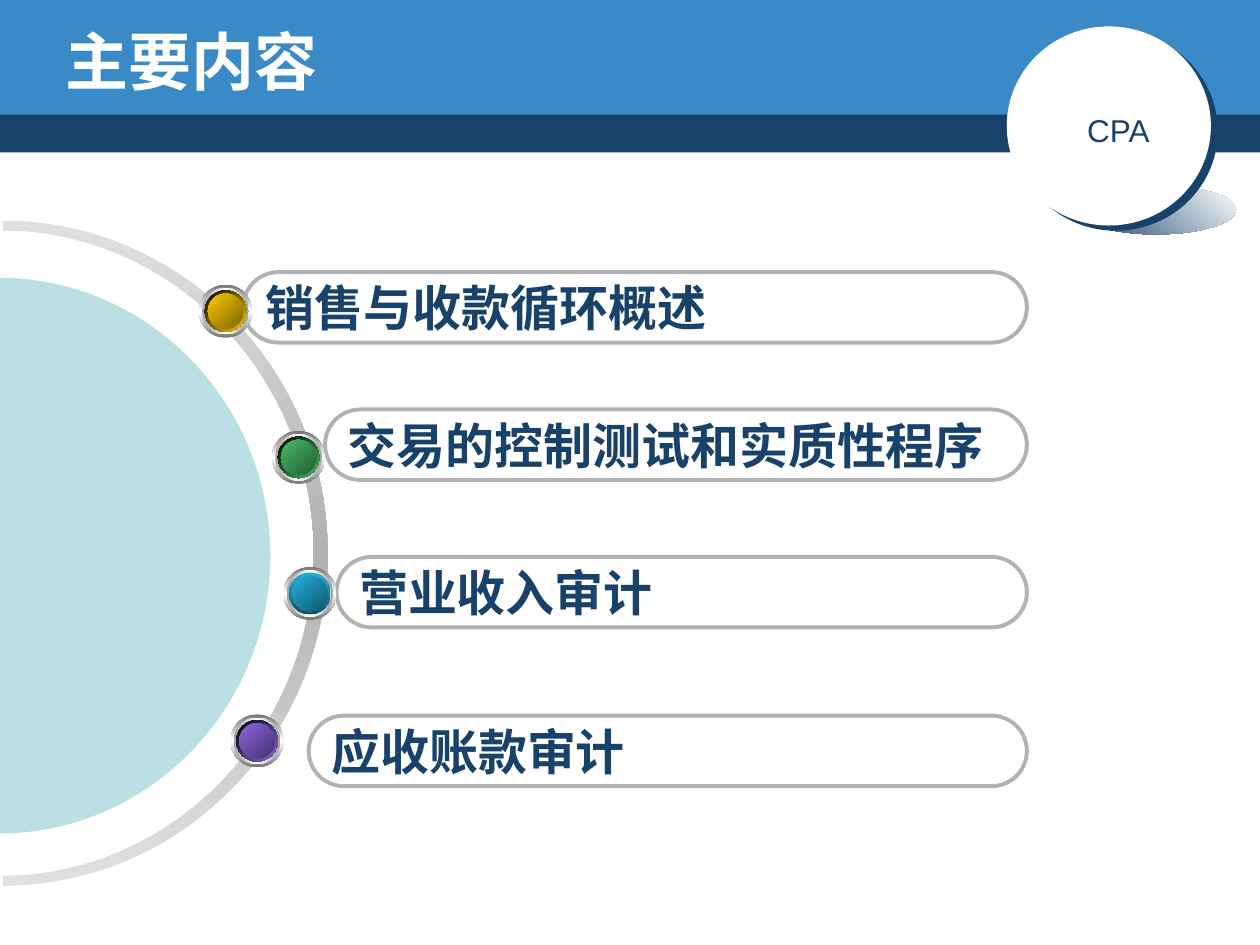
from lxml.etree import SubElement
from pptx import Presentation
from pptx.dml.color import RGBColor
from pptx.enum.shapes import MSO_SHAPE
from pptx.enum.text import MSO_ANCHOR, PP_ALIGN
from pptx.oxml.ns import qn
from pptx.util import Inches, Pt

NAVY = "19426B"
BLUE = "398AC7"
WHITE = "FFFFFF"
TEAL = "BBE0E3"
GRAY = "B2B2B2"
LIGHT_GRAY = "E0E0E0"

CURVE = 0.55  # control point distance of a quarter circle, per radius
ITEM_RIGHT = 8.15
ITEM_HEIGHT = 0.56
# text, left and top of the item box
ITEMS = [
    ("应收账款审计", 2.45, 5.68),
    ("营业收入审计", 2.67, 4.42),
    ("交易的控制测试和实质性程序", 2.58, 3.25),
    ("销售与收款循环概述", 1.93, 2.16),
]
# centre x, centre y, rim colours, rim angle, face colours
BALLS = [
    (1.79, 2.47, ["000000", "FFCC00"], 45, ["FFCC00", "7C6300"]),
    (2.37, 3.63, ["000000", "48BE67"], 45, ["48BE67", "235C32"]),
    (2.46, 4.71, ["21B3E1", "0F5368"], 90, ["21B3E1", "10576D"]),
    (2.04, 5.88, ["000000", "8D67E1"], 45, ["8D67E1", "45326D"]),
]


def rgb(color):
    return RGBColor.from_string(color)


def fill_solid(shape, color):
    shape.fill.solid()
    shape.fill.fore_color.rgb = rgb(color)


def fill_gradient(shape, colors, angle):
    """Spread the colours evenly along a clockwise angle."""
    shape.fill.gradient()
    shape.fill.gradient_angle = (360 - angle) % 360
    stops = shape.element.spPr.find(qn("a:gradFill")).find(qn("a:gsLst"))
    for stop in list(stops):
        stops.remove(stop)
    for index, color in enumerate(colors):
        position = 100000 * index // (len(colors) - 1)
        stop = SubElement(stops, qn("a:gs"), pos=str(position))
        SubElement(stop, qn("a:srgbClr"), val=color)


def make_plain(shape):
    shape.shadow.inherit = False
    shape.line.fill.background()


def add_plain_shape(shapes, kind, left, top, width, height):
    shape = shapes.add_shape(
        kind, Inches(left), Inches(top), Inches(width), Inches(height))
    make_plain(shape)
    return shape


def add_shadow(shape, color, distance, angle):
    effects = shape.element.spPr.find(qn("a:effectLst"))
    shadow = SubElement(effects, qn("a:outerShdw"), blurRad="0",
                        dist=str(Pt(distance)), dir=str(angle * 60000),
                        algn="ctr", rotWithShape="0")
    SubElement(shadow, qn("a:srgbClr"), val=color)


def write_text(shape, text, size, color, font_name="Arial", bold=False):
    frame = shape.text_frame
    frame.vertical_anchor = MSO_ANCHOR.MIDDLE
    paragraph = frame.paragraphs[0]
    paragraph.alignment = PP_ALIGN.LEFT
    run = paragraph.add_run()
    run.text = text
    run.font.name = font_name
    run.font.size = Pt(size)
    run.font.bold = bold
    run.font.color.rgb = rgb(color)


def add_header(slide):
    for top, height, color in [(0.87, 0.34, NAVY), (0, 0.91, BLUE)]:
        band = add_plain_shape(
            slide.shapes, MSO_SHAPE.RECTANGLE, 0, top, 10, height)
        fill_solid(band, color)


def add_badge(slide):
    shapes = slide.shapes.add_group_shape().shapes
    glow = add_plain_shape(shapes, MSO_SHAPE.OVAL, 8.54, 1.47, 1.27, 0.39)
    fill_gradient(glow, [NAVY, WHITE], 315)
    disc = add_plain_shape(shapes, MSO_SHAPE.OVAL, 7.99, 0.21, 1.62, 1.58)
    fill_solid(disc, WHITE)
    add_shadow(disc, NAVY, 5, 37)
    label = add_plain_shape(shapes, MSO_SHAPE.OVAL, 8.4, 0.76, 0.89, 0.54)
    fill_solid(label, WHITE)
    label.text_frame.word_wrap = False
    write_text(label, "CPA", 18, NAVY)


def add_title(slide, text):
    title = slide.shapes.title
    title.left, title.top = Inches(0.42), Inches(0.17)
    title.width, title.height = Inches(8.5), Inches(0.62)
    write_text(title, text, 36, WHITE, "DejaVu Sans", bold=True)
    # Bring the title in front of the header bands
    title.element.getparent().append(title.element)


def dome(left, right, top, base):
    """Anchor and control points of an upper half ellipse, left to right."""
    middle = (left + right) / 2
    reach_x = CURVE * (right - left) / 2
    reach_y = CURVE * (base - top)
    return [(left, base), (left, base - reach_y), (middle - reach_x, top),
            (middle, top), (middle + reach_x, top), (right, base - reach_y),
            (right, base)]


def add_curved_outline(slide, frame, domes):
    """Join domes by straight lines and turn the outline a quarter right."""
    left, top, width, height = frame
    corners = [(left, top), (left + width, top + height)]
    points = corners + [point for curve in domes for point in curve]
    points = [(Inches(x), Inches(y)) for x, y in points]
    builder = slide.shapes.build_freeform(*points[0])
    builder.move_to(*points[1])  # the two corners fix the frame size
    builder.move_to(*points[2])
    builder.add_line_segments(points[3:], close=True)
    shape = builder.convert_to_shape()
    outline = next(shape.element.iter(qn("a:path")))
    for corner in outline.findall(qn("a:moveTo"))[:2]:
        outline.remove(corner)
    lines = outline.findall(qn("a:lnTo"))
    for start in range(0, len(lines), 7):
        for first in (start, start + 3):
            bend_lines(outline, lines[first:first + 3])
    shape.rotation = 90
    make_plain(shape)
    return shape


def bend_lines(outline, lines):
    """Replace three line segments by one Bezier segment."""
    curve = SubElement(outline, qn("a:cubicBezTo"))
    outline.replace(lines[0], curve)
    for line in lines:
        curve.append(line[0])
    for line in lines[1:]:
        outline.remove(line)


def add_half_circles(slide):
    inner = dome(-2.57, 2.55, 1.9, 4.36)
    outer = dome(-2.65, 2.63, 1.78, 4.36)
    inner[2:5] = [(x, 1.89) for x, _ in inner[2:5]]
    ring = add_curved_outline(
        slide, (-2.65, 1.78, 5.28, 5.22), [inner, outer[::-1]])
    fill_gradient(ring, [LIGHT_GRAY, GRAY, LIGHT_GRAY], 0)
    disc = add_curved_outline(
        slide, (-2.21, 2.26, 4.41, 4.3), [dome(-2.21, 2.2, 2.26, 4.41)])
    fill_solid(disc, TEAL)


def add_item(slide, text, left, top):
    item = add_plain_shape(slide.shapes, MSO_SHAPE.ROUNDED_RECTANGLE,
                           left, top, ITEM_RIGHT - left, ITEM_HEIGHT)
    item.adjustments[0] = 0.5
    item.fill.background()
    item.line.color.rgb = rgb(GRAY)
    item.line.width = Pt(2.25)
    item.text_frame.word_wrap = False
    write_text(item, text, 28, NAVY, bold=True)


def add_ball(slide, center_x, center_y, rim, rim_angle, face):
    """Stack concentric gradient discs into a glossy ball."""
    shapes = slide.shapes.add_group_shape().shapes
    layers = [(0.42, ["767676", WHITE, "767676"], 90),
              (0.37, ["A2A2A2", WHITE, "A2A2A2"], 0),
              (0.33, [WHITE, "8BBC00", WHITE], 45),
              (0.33, rim, rim_angle),
              (0.28, ["6A9000", "8BBC00", "6A9000"], 315),
              (0.28, face, 45)]
    for size, colors, angle in layers:
        disc = add_plain_shape(shapes, MSO_SHAPE.OVAL, center_x - size / 2,
                               center_y - size / 2, size, size)
        fill_gradient(disc, colors, angle)


def main():
    presentation = Presentation()
    presentation.slide_width, presentation.slide_height = Inches(10), Inches(7.5)
    slide = presentation.slides.add_slide(presentation.slide_layouts[5])
    add_header(slide)
    add_badge(slide)
    add_title(slide, "主要内容")
    add_half_circles(slide)
    for item in ITEMS:
        add_item(slide, *item)
    for ball in BALLS:
        add_ball(slide, *ball)
    presentation.save("out.pptx")


if __name__ == "__main__":
    main()
